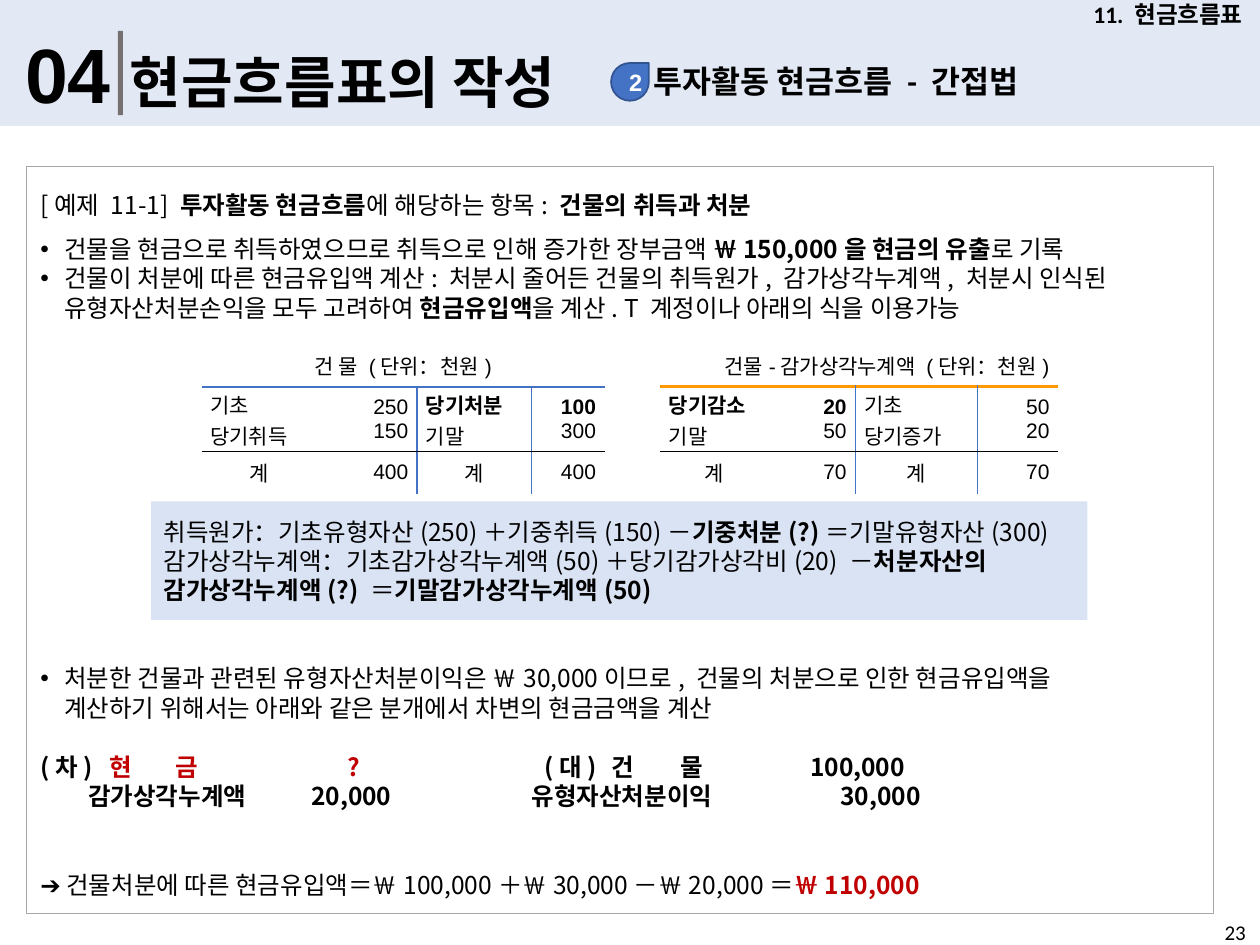
from dataclasses import dataclass

from lxml import etree
from pptx import Presentation
from pptx import util as u
from pptx.dml.color import RGBColor
from pptx.enum import shapes, text
from pptx.oxml.ns import qn


@dataclass(frozen=True)
class Theme:
    ink: str = "000000"
    white: str = "FFFFFF"
    red: str = "C00000"
    band: str = "DAE3F3"
    bar: str = "767171"
    frame: str = "A6A6A6"
    blue: str = "4472C4"
    navy: str = "325491"
    orange: str = "FF9900"
    heading_font: str = "Calibri"
    number_font: str = "Arial"
    body_font: str = "Noto Sans CJK KR"
    number_size: float = 44
    title_size: float = 32
    topic_size: float = 18
    label_size: float = 13.5
    body_size: float = 14
    table_size: float = 12
    line_pitch: float = 16.8


THEME = Theme()
COLUMNS, ROWS = 100, 75
UNIT = u.Inches(0.1)
NO_GRID_STYLE = "{2D5ABB26-0587-4C30-8999-92F81FD0307C}"
LEFT, CENTER, RIGHT = text.PP_ALIGN.LEFT, text.PP_ALIGN.CENTER, text.PP_ALIGN.RIGHT
TOP, MIDDLE = text.MSO_ANCHOR.TOP, text.MSO_ANCHOR.MIDDLE


def cells(*lengths):
    return [int(length * UNIT) for length in lengths]


def rgb(code):
    return RGBColor.from_string(code)


def element(parent, tag, **attributes):
    return etree.SubElement(parent, qn(tag), attributes)


def style(para, size, font, bold=False, colour=THEME.ink, align=LEFT):
    para.alignment = align
    para.font.size, para.font.name, para.font.bold = u.Pt(size), font, bold
    para.font.color.rgb = rgb(colour)
    asian = THEME.body_font if font == THEME.number_font else font
    element(para._p.pPr.find(qn("a:defRPr")), "a:ea", typeface=asian)


def frame_text(box, anchor=TOP, insets=(1, 0.5, 1, 0.5), wrap=True):
    frame = box.text_frame
    frame.word_wrap, frame.vertical_anchor = wrap, anchor
    (frame.margin_left, frame.margin_top,
     frame.margin_right, frame.margin_bottom) = cells(*insets)
    return frame


def write_label(box, words, size, font, bold=True, colour=THEME.ink,
                align=LEFT, **layout):
    para = frame_text(box, **layout).paragraphs[0]
    para.add_run().text = words
    style(para, size, font, bold, colour, align)


def add_label(page, area, words, size, font, **options):
    box = page.shapes.add_textbox(*cells(*area))
    write_label(box, words, size, font, **options)


def add_block(page, area, fill, line=None, width=1, kind=shapes.MSO_SHAPE.RECTANGLE):
    block = page.shapes.add_shape(kind, *cells(*area))
    block.shadow.inherit = False
    block.fill.solid()
    block.fill.fore_color.rgb = rgb(fill)
    if line:
        block.line.color.rgb = rgb(line)
        block.line.width = u.Pt(width)
    else:
        block.line.fill.background()
    return block


def write_body(frame, paragraphs):
    for index, (spans, options) in enumerate(paragraphs):
        para = frame.paragraphs[0] if index == 0 else frame.add_paragraph()
        properties = para._p.get_or_add_pPr()
        if options.get("bullet"):
            properties.set("marL", str(u.Inches(0.19)))
            properties.set("indent", str(-u.Inches(0.19)))
            element(properties, "a:buFont", typeface="Arial")
            element(properties, "a:buChar", char="•")
        if "tabs" in options:
            stops = element(properties, "a:tabLst")
            for stop in options["tabs"]:
                element(stops, "a:tab", pos=str(u.Inches(stop)), algn="l")
        para.line_spacing = u.Pt(THEME.line_pitch * options.get("lines", 1))
        if "before" in options:
            para.space_before = u.Pt(options["before"])
        style(para, THEME.body_size, THEME.body_font)
        for words, bold, colour in spans:
            for part, piece in enumerate(words.split("\n")):
                if part:
                    para.add_line_break()
                span = para.add_run()
                span.text = piece
                if bold:
                    span.font.bold = True
                if colour != THEME.ink:
                    span.font.color.rgb = rgb(colour)


def plain(words):
    return words, False, THEME.ink


def strong(words, colour=THEME.ink):
    return words, True, colour


def set_edges(cell, edges):
    properties = cell._tc.get_or_add_tcPr()
    for side in "LRTB":
        if side in edges:
            colour, width = edges[side]
            line = element(properties, f"a:ln{side}", w=str(u.Pt(width)))
            element(element(line, "a:solidFill"), "a:srgbClr", val=colour)


def write_cell(cell, lines, align, edges=None):
    set_edges(cell, edges or {})
    cell.fill.background()
    cell.vertical_anchor = MIDDLE
    cell.margin_left = cell.margin_right = u.Inches(0.07)
    cell.margin_top = cell.margin_bottom = u.Inches(0.02)
    for index, line in enumerate(lines):
        para = cell.text_frame.paragraphs[0] if index == 0 else cell.text_frame.add_paragraph()
        para.add_run().text = line.strip("*")
        style(para, THEME.table_size, THEME.number_font, line.startswith("*"), align=align)


def write_account(table, start, heading, align, rule, entries, total):
    thin, divider = (THEME.ink, 0.28), (THEME.blue, 1)
    header = table.cell(0, start)
    header.merge(table.cell(0, start + 3))
    write_cell(header, [heading], align, {"B": rule})
    for offset, lines in enumerate(entries):
        is_amount = offset % 2 == 1
        side = {1: {"R": divider}, 2: {"L": divider}}.get(offset, {})
        write_cell(table.cell(1, start + offset), lines, RIGHT if is_amount else LEFT,
                   {"T": rule, "B": thin, **side})
        write_cell(table.cell(2, start + offset), [total if is_amount else "계"],
                   RIGHT if is_amount else CENTER, {"T": thin, **side})


def add_accounts(page):
    widths, heights = (9.1, 8, 9.1, 5.8, 4.4, 8.6, 6.9, 9.7, 6.4), (2.8, 5.1, 2.8)
    area = cells(16, 27.3, sum(widths), sum(heights))
    table = page.shapes.add_table(len(heights), len(widths), *area).table
    table.first_row = table.horz_banding = False
    table._tbl.tblPr.find(qn("a:tableStyleId")).text = NO_GRID_STYLE
    for column, width in zip(table.columns, cells(*widths)):
        column.width = width
    for row, height in zip(table.rows, cells(*heights)):
        row.height = height
    for row in range(len(heights)):
        write_cell(table.cell(row, 4), [], LEFT)
    write_account(table, 0, "건 물 (단위：천원)", CENTER, (THEME.blue, 1),
                  [["기초", "당기취득"], ["250", "150"],
                   ["*당기처분", "기말"], ["*100", "300"]], "400")
    write_account(table, 5, "건물-감가상각누계액 (단위：천원)", RIGHT, (THEME.orange, 1.7),
                  [["*당기감소", "기말"], ["*20", "50"],
                   ["기초", "당기증가"], ["50", "20"]], "70")


def add_header(page):
    band = add_block(page, (0, 0, COLUMNS, 10), THEME.band)
    element(band._element.spPr.find(qn("a:solidFill"))[0], "a:alpha", val="76000")
    title = page.shapes.title
    title._element.addprevious(band._element)
    title.left, title.top, title.width, title.height = cells(9.3, 3.2, 38, 6.4)
    write_label(title, "현금흐름표의 작성", THEME.title_size, THEME.heading_font, anchor=MIDDLE)
    add_label(page, (1, 1.6, 9.1, 8.4), "04", THEME.number_size, THEME.number_font)
    add_block(page, (9.35, 2.45, 0.4, 6.7), THEME.bar)
    add_label(page, (85.4, 0, 14.6, 2.3), "11. 현금흐름표", THEME.label_size,
              THEME.heading_font, align=CENTER, anchor=MIDDLE)
    add_label(page, (50.9, 4.4, 34.5, 4), "투자활동 현금흐름 - 간접법", THEME.topic_size,
              THEME.heading_font, anchor=MIDDLE)
    badge = add_block(page, (48.5, 5, 3, 3), THEME.blue, THEME.navy,
                      kind=shapes.MSO_SHAPE.TEAR)
    write_label(badge, "2", THEME.label_size, THEME.number_font, colour=THEME.white,
                align=CENTER, anchor=MIDDLE, insets=(0.9, 0, 0, 0), wrap=False)


def add_example(page):
    block = add_block(page, (2.1, 13.2, 94.2, 59.3), THEME.white, THEME.frame, 0.75)
    write_body(frame_text(block, insets=(1.1, 0.7, 1.1, 0.5)), [
        ([plain("[예제 11-1] "), strong("투자활동 현금흐름"), plain("에 해당하는 항목: "),
          strong("건물의 취득과 처분")], {"lines": 1.5}),
        ([plain("건물을 현금으로 취득하였으므로 취득으로 인해 증가한 장부금액 "),
          strong("￦150,000을 현금의 유출"), plain("로 기록")], {"lines": 1.5, "bullet": True}),
        ([plain("건물이 처분에 따른 현금유입액 계산: 처분시 줄어든 건물의 취득원가, 감가상각누계액, "
                "처분시 인식된 유형자산처분손익을 모두 고려하여 "),
          strong("현금유입액"), plain("을 계산. T 계정이나 아래의 식을 이용가능")], {"bullet": True}),
        ([plain("처분한 건물과 관련된 유형자산처분이익은 ￦30,000이므로, 건물의 처분으로 인한 "
                "현금유입액을\n계산하기 위해서는 아래와 같은 분개에서 차변의 현금금액을 계산")],
         {"bullet": True, "before": 195}),
        ([strong("(차)\t"), strong("현\t금\t?\t", THEME.red), strong("(대)\t건\t물\t100,000")],
         {"before": 16.8, "tabs": (0.55, 1.07, 2.44, 4, 4.53, 5.08, 6.11)}),
        ([strong("\t감가상각누계액\t20,000\t유형자산처분이익\t30,000")],
         {"tabs": (0.38, 2.15, 3.9, 6.35)}),
        ([plain("➔ 건물처분에 따른 현금유입액＝￦100,000＋￦30,000－￦20,000＝"),
          strong("￦110,000", THEME.red)], {"before": 33.8}),
    ])


def add_formula(page):
    block = add_block(page, (12, 39.8, 74.3, 9.4), THEME.band)
    write_body(frame_text(block, MIDDLE), [
        ([plain("취득원가：기초유형자산(250)＋기중취득(150)－"), strong("기중처분(?)"),
          plain("＝기말유형자산(300)")], {}),
        ([plain("감가상각누계액：기초감가상각누계액(50)＋당기감가상각비(20) －"),
          strong("처분자산의 감가상각누계액(?) "), plain("＝"),
          strong("기말감가상각누계액(50)")], {}),
    ])


def main():
    deck = Presentation()
    deck.slide_width, deck.slide_height = cells(COLUMNS, ROWS)
    page = deck.slides.add_slide(deck.slide_layouts[5])
    add_header(page)
    add_example(page)
    add_accounts(page)
    add_formula(page)
    add_label(page, (96.2, 72.5, 3.8, 2.5), "23", THEME.table_size,
              THEME.heading_font, bold=False, wrap=False)
    deck.save("out.pptx")


if __name__ == "__main__":
    main()
